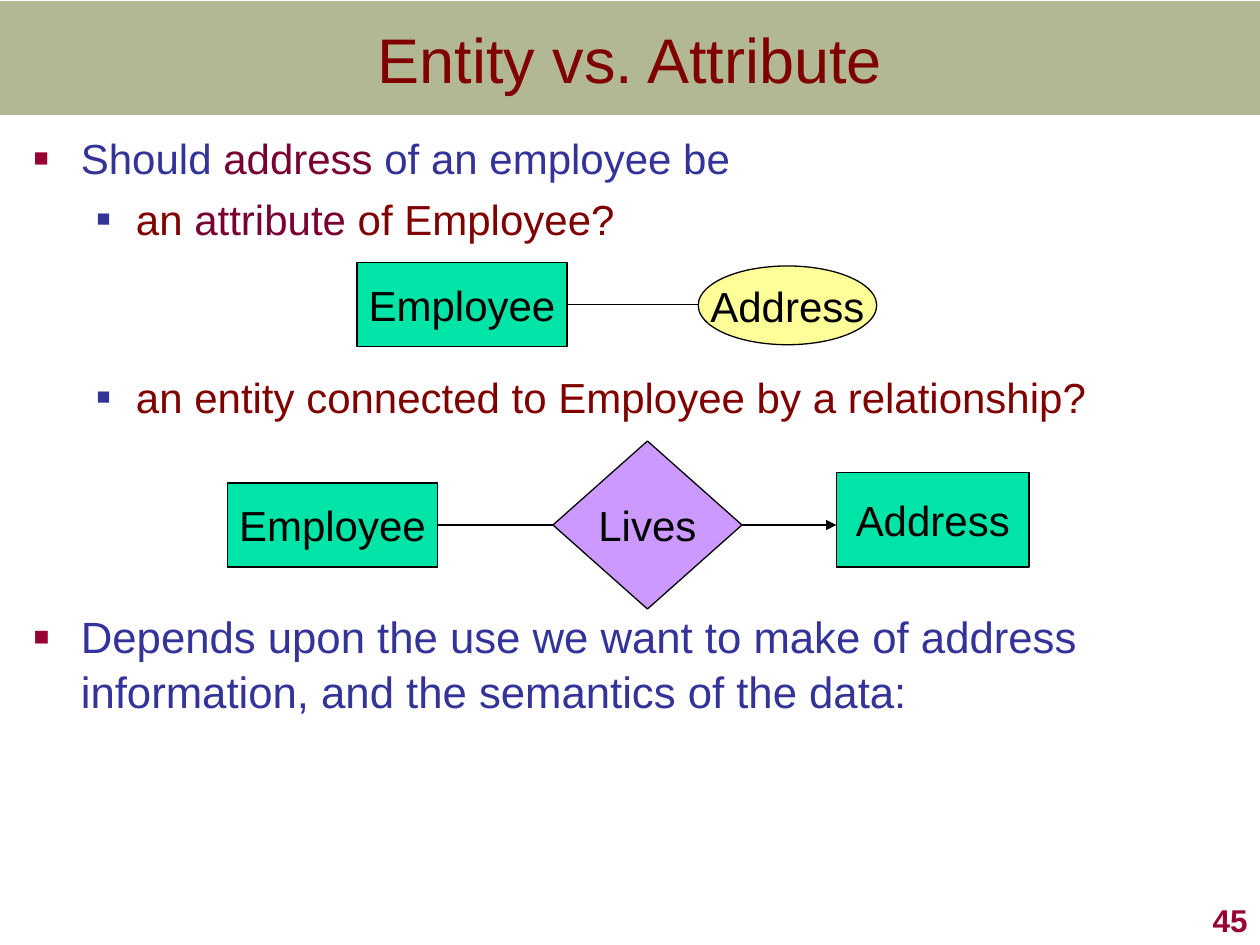
from dataclasses import dataclass

from lxml.etree import SubElement
from pptx import Presentation
from pptx.dml.color import RGBColor
from pptx.enum.shapes import MSO_CONNECTOR as Connector, MSO_SHAPE as Shape
from pptx.enum.text import MSO_ANCHOR as Anchor, MSO_AUTO_SIZE as AutoSize, PP_ALIGN as Align
from pptx.oxml.ns import qn
from pptx.util import Pt

FONT = "Arial"
BLACK, MAROON, PLUM, INDIGO, CRIMSON = "000000", "800000", "790033", "333399", "990033"
GREEN, YELLOW, VIOLET = "00E4A8", "FFFF99", "CC99FF"


@dataclass
class Node:
    label: str
    kind: Shape
    left: float
    top: float
    width: float
    height: float
    fill: str


@dataclass
class Link:
    start: float
    end: float
    y: float
    arrow: bool = False


@dataclass
class Bullet:
    runs: list[tuple[str, str]]
    level: int
    before: float
    size: float = 24
    spacing: float = 1.0


@dataclass
class BulletStyle:
    margin: float
    indent: float
    color: str
    percent: int


BULLET_STYLES = [BulletStyle(27, -27, CRIMSON, 60), BulletStyle(58.5, -22.5, INDIGO, 55)]

BULLETS = [
    Bullet([("Should ", INDIGO), ("address ", PLUM), ("of an employee be", INDIGO)], 0, 4),
    Bullet([("an ", MAROON), ("attribute", PLUM), (" of Employee?", MAROON)], 1, 6),
    # The larger gaps leave room for the diagrams
    Bullet([("an entity connected to Employee by a relationship?", MAROON)], 1, 73),
    Bullet([("Depends upon the use we want to make of address information, "
             "and the semantics of the data:", INDIGO)], 0, 106, 25, 1.05),
]

NODES = [
    Node("Employee", Shape.RECTANGLE, 204, 150, 120, 48, GREEN),
    Node("Address", Shape.OVAL, 399, 152, 102, 45, YELLOW),
    Node("Employee", Shape.RECTANGLE, 130, 276, 120, 48, GREEN),
    Node("Address", Shape.RECTANGLE, 478, 270, 110, 54, GREEN),
    Node("Lives", Shape.DIAMOND, 316, 252, 108, 96, VIOLET),
]

LINKS = [Link(399, 324, 174), Link(316, 250, 300), Link(424, 478, 300, arrow=True)]


def rgb(value: str) -> RGBColor:
    return RGBColor.from_string(value)


def place(shape, left: float, top: float, width: float, height: float) -> None:
    shape.left, shape.top, shape.width, shape.height = map(Pt, (left, top, width, height))


def style(paragraph, size: float, color: str, align: Align, bold: bool = False) -> None:
    paragraph.alignment = align
    font = paragraph.font
    font.name, font.size, font.bold = FONT, Pt(size), bold
    font.color.rgb = rgb(color)


def add_band(slide) -> None:
    band = slide.shapes.add_shape(Shape.RECTANGLE, Pt(0), Pt(0.7), Pt(720), Pt(65))
    band.shadow.inherit = False
    band.fill.solid()
    band.fill.fore_color.rgb = rgb("677228")
    band.line.fill.background()
    color = band.fill._xPr.find(qn("a:solidFill"))[0]
    SubElement(color, qn("a:alpha"), val="50000")
    slide.shapes._spTree.insert(2, band._element)  # behind the title


def add_bullet(paragraph, bullet: Bullet) -> None:
    look = BULLET_STYLES[bullet.level]
    paragraph.level = bullet.level
    paragraph.alignment = Align.LEFT
    paragraph.space_before, paragraph.space_after = Pt(bullet.before), Pt(0)
    paragraph.line_spacing = bullet.spacing
    paragraph.font.name, paragraph.font.size = FONT, Pt(bullet.size)
    for text, color in bullet.runs:
        run = paragraph.add_run()
        run.text = text
        run.font.color.rgb = rgb(color)
    # Bullet mark: the order of these elements is fixed by the schema
    props = paragraph._p.get_or_add_pPr()
    props.set("marL", str(Pt(look.margin)))
    props.set("indent", str(Pt(look.indent)))
    marks = [SubElement(props, qn("a:buClr")),
             SubElement(props, qn("a:buSzPct"), val=str(look.percent * 1000)),
             SubElement(props, qn("a:buFont"), typeface=FONT),
             SubElement(props, qn("a:buChar"), char="■")]
    SubElement(marks[0], qn("a:srgbClr"), val=look.color)
    default_font = props.find(qn("a:defRPr"))
    for mark in marks:
        default_font.addprevious(mark)


def add_node(slide, node: Node) -> None:
    shape = slide.shapes.add_shape(
        node.kind, *map(Pt, (node.left, node.top, node.width, node.height)))
    shape.shadow.inherit = False
    shape.fill.solid()
    shape.fill.fore_color.rgb = rgb(node.fill)
    shape.line.color.rgb = rgb(BLACK)
    shape.line.width = Pt(0.75)
    frame = shape.text_frame
    frame.word_wrap = False
    frame.vertical_anchor = Anchor.MIDDLE
    frame.text = node.label
    style(frame.paragraphs[0], 24, BLACK, Align.CENTER)


def add_link(slide, link: Link) -> None:
    line = slide.shapes.add_connector(
        Connector.STRAIGHT, Pt(link.start), Pt(link.y), Pt(link.end), Pt(link.y))
    line.line.color.rgb = rgb(BLACK)
    line.line.width = Pt(0.75)
    if link.arrow:
        SubElement(line.line._get_or_add_ln(), qn("a:tailEnd"), type="triangle")
    SubElement(line._element.spPr, qn("a:effectLst"))


def main() -> None:
    deck = Presentation()
    deck.slide_width, deck.slide_height = Pt(720), Pt(540)
    slide = deck.slides.add_slide(deck.slide_layouts[1])
    title, body = slide.placeholders

    # Title on its band
    add_band(slide)
    place(title, 0, 0.7, 720, 65)
    title.text_frame.text = "Entity vs. Attribute"
    title.text_frame.vertical_anchor = Anchor.MIDDLE
    title.text_frame.auto_size = AutoSize.NONE
    style(title.text_frame.paragraphs[0], 36, MAROON, Align.CENTER)

    # Bulleted text
    place(body, 12, 72, 678, 344)
    frame = body.text_frame
    frame.auto_size = AutoSize.NONE
    frame.vertical_anchor = Anchor.TOP
    frame.margin_left, frame.margin_right = Pt(7.2), Pt(0)
    for index, bullet in enumerate(BULLETS):
        add_bullet(frame.add_paragraph() if index else frame.paragraphs[0], bullet)

    # Slide number
    number = slide.shapes.add_textbox(Pt(570), Pt(504), Pt(150), Pt(36)).text_frame
    number.word_wrap = True
    number.vertical_anchor = Anchor.BOTTOM
    number.text = "45"
    style(number.paragraphs[0], 18, CRIMSON, Align.RIGHT, bold=True)

    # Entity-relationship diagrams
    for node in NODES:
        add_node(slide, node)
    for link in LINKS:
        add_link(slide, link)

    deck.save("out.pptx")


if __name__ == "__main__":
    main()
